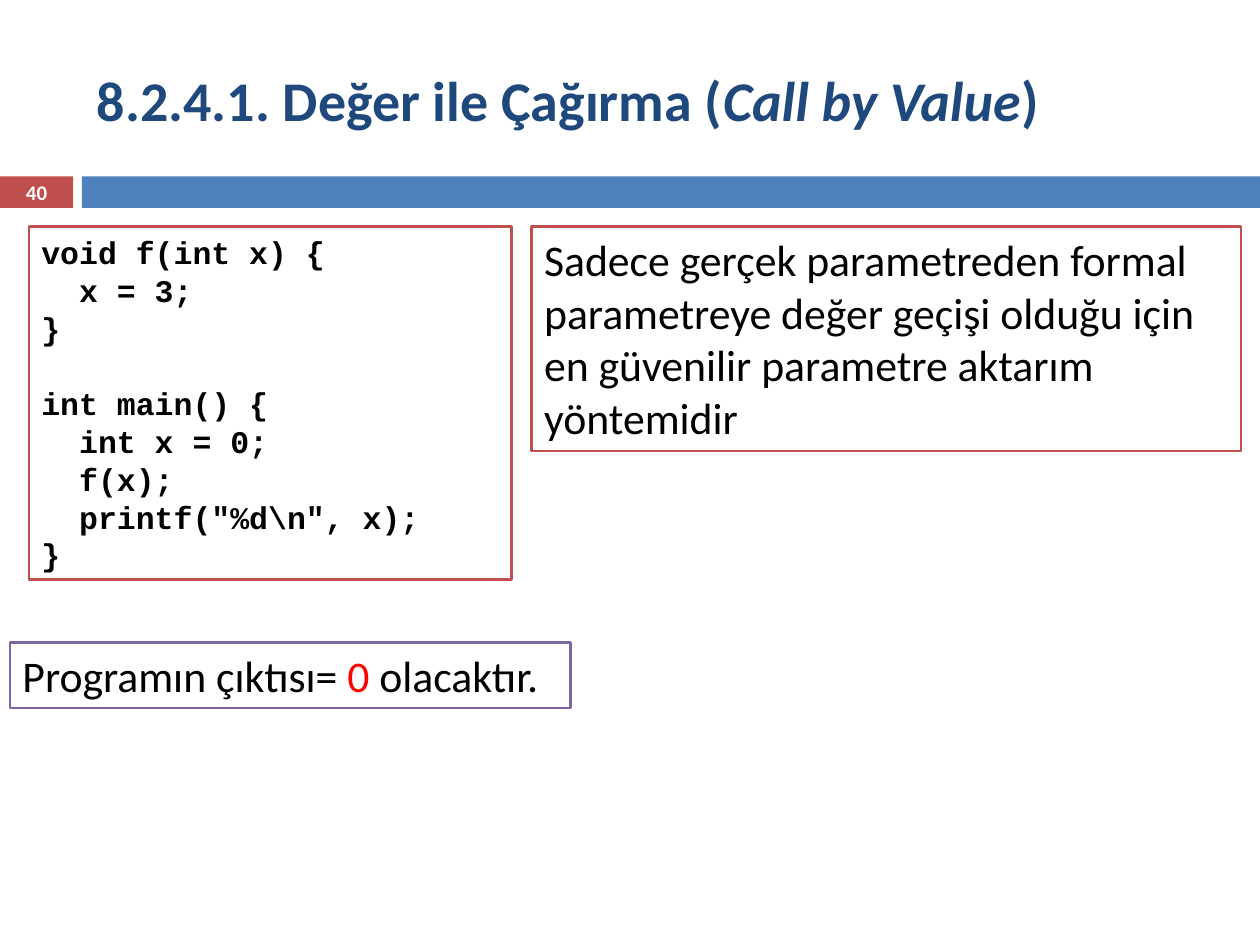
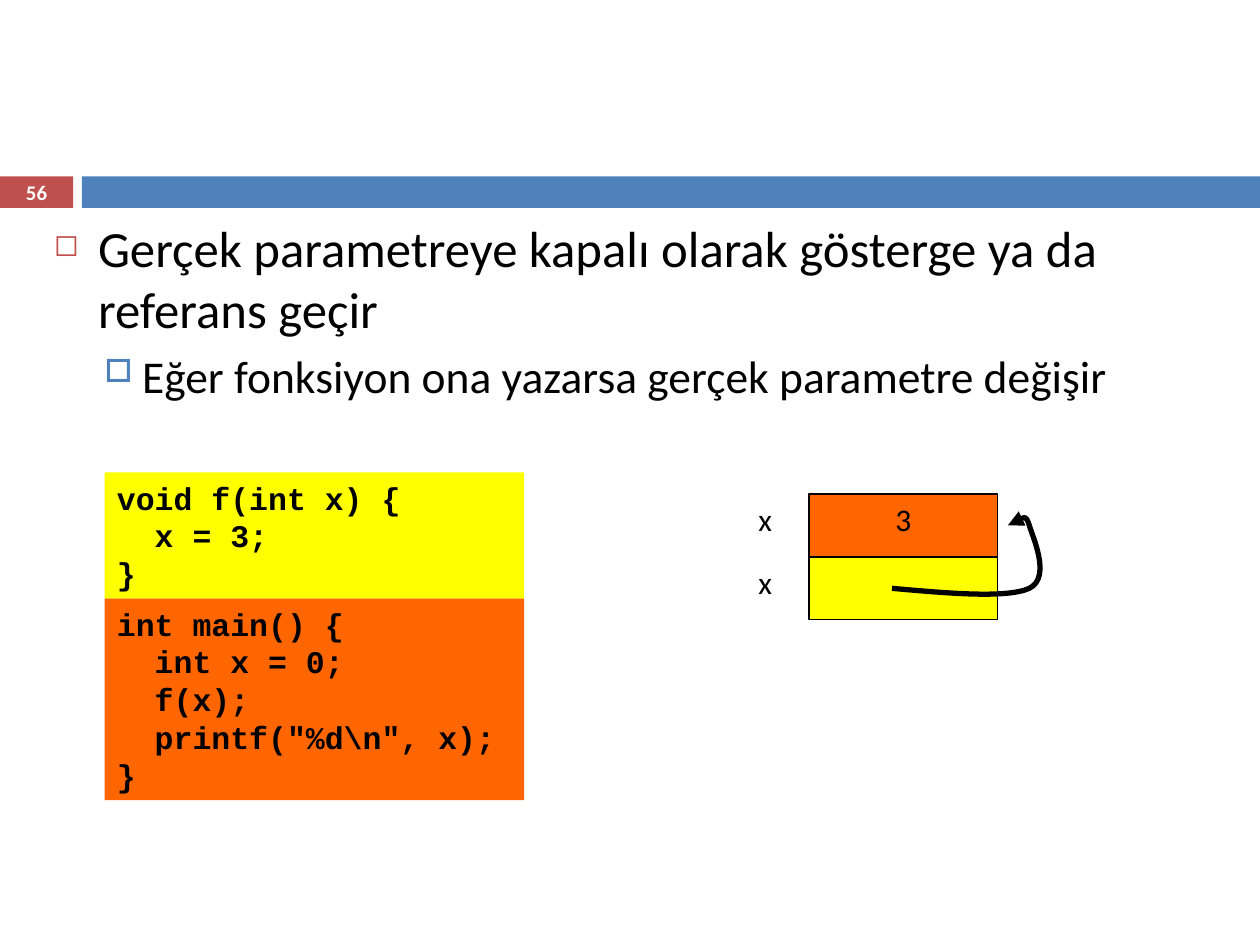
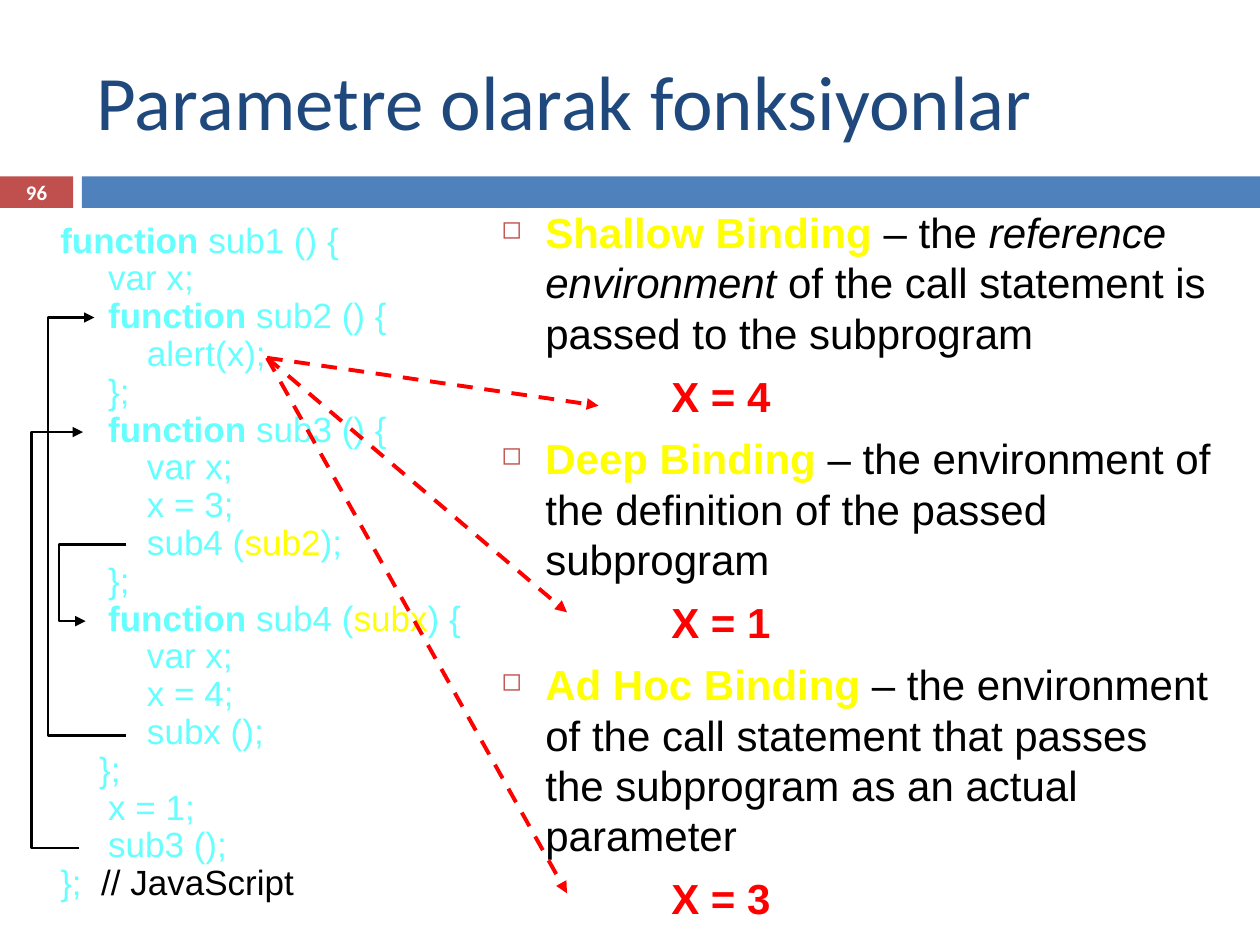
from lxml import etree
from pptx import Presentation
from pptx.dml.color import RGBColor as Rgb
from pptx.enum.dml import MSO_LINE as Dash
from pptx.enum.shapes import MSO_CONNECTOR as Link, MSO_SHAPE as Shape
from pptx.enum.text import MSO_ANCHOR as Anchor, PP_ALIGN as Align
from pptx.oxml.ns import qn
from pptx.util import Inches, Pt

COLORS = {
    "black": "000000", "white": "FFFFFF", "navy": "1F497D", "blue": "4F81BD",
    "brick": "C0504D", "purple": "8064A2", "red": "FF0000",
    "yellow": "FFFF00", "orange": "FF6600", "cyan": "66FFFF",
}
SANS, ARIAL, MONO = "Calibri", "Arial", "Courier New"

CALLEE = ["void f(int x) {", "  x = 3;", "}"]
CALLER = ["int main() {", "  int x = 0;", "  f(x);", '  printf("%d\\n", x);', "}"]

# Each line of the script: indent level, then its runs
SCRIPT = [
    (0, [("function", "", "b"), " sub1 () {"]),
    (1, ["var x;"]),
    (1, [("function", "", "b"), " sub2 () {"]),
    (1, ["    alert(x);"]),
    (1, ["};"]),
    (1, [("function", "", "b"), " sub3 () {"]),
    (1, ["    var x;"]),
    (1, ["    x = 3;"]),
    (1, ["    sub4 (", ("sub2", "yellow", ""), ");"]),
    (1, ["};"]),
    (1, [("function", "", "b"), " sub4 (", ("subx", "yellow", ""), ") {"]),
    (1, ["    var x;"]),
    (1, ["    x = 4;"]),
    (1, ["    subx ();"]),
    (0, ["    };"]),
    (1, ["x = 1;"]),
    (1, ["sub3 ();"]),
    (0, ["};", ("  // JavaScript", "black", "")]),
]

BINDINGS = [
    ("Shallow Binding", [" – the ", ("reference environment", "", "i"),
                         " of the call statement is passed to the subprogram"], "X = 4"),
    ("Deep Binding", [" – the environment of the definition of the passed subprogram"],
     "X = 1"),
    ("Ad Hoc Binding", [" – the environment of the call statement that passes "
                        "the subprogram as an actual parameter"], "X = 3"),
]


def rgb(name):
    return Rgb.from_string(COLORS[name])


def add(node, tag, **attrs):
    return etree.SubElement(node, qn(tag), attrs)


def rect(slide, x, y, w, h, fill, line=None, width=1.5):
    box = slide.shapes.add_shape(Shape.RECTANGLE, Inches(x), Inches(y), Inches(w), Inches(h))
    box.shadow.inherit = False
    box.fill.solid()
    box.fill.fore_color.rgb = rgb(fill)
    if line:
        box.line.color.rgb = rgb(line)
        box.line.width = Pt(width)
    else:
        box.line.fill.background()
    frame(box)
    return box


def label(slide, x, y, w, h):
    box = slide.shapes.add_textbox(Inches(x), Inches(y), Inches(w), Inches(h))
    frame(box)
    return box


def frame(box, anchor=Anchor.TOP):
    box.text_frame.word_wrap = True
    box.text_frame.vertical_anchor = anchor


def write(box, runs, size, font=SANS, color="black", bold=False, align=Align.LEFT,
          left=0, hang=0, bullet=None, before=0, pitch=None):
    """Add a paragraph; a run is a string or (text, colour, style letters)."""
    text = box.text_frame
    para = text.paragraphs[0]
    first = not para.runs
    if not first:
        para = text.add_paragraph()
    props = para._p.get_or_add_pPr()
    props.set("marL", str(Inches(left)))
    props.set("indent", str(Inches(-hang)))
    if bullet:
        mark, tint, scale = bullet
        add(add(props, "a:buClr"), "a:srgbClr", val=COLORS[tint])
        add(props, "a:buSzPct", val=str(scale * 1000))
        add(props, "a:buChar", char=mark)
    para.alignment = align
    if before and not first:
        para.space_before = Pt(before)
    if pitch:
        para.line_spacing = pitch
    para.font.name, para.font.size, para.font.bold = font, Pt(size), bold
    para.font.color.rgb = rgb(color)
    for part in runs:
        words, tint, style = (part, "", "") if isinstance(part, str) else part
        run = para.add_run()
        run.text = words
        if tint:
            run.font.color.rgb = rgb(tint)
        if "b" in style:
            run.font.bold = True
        if "i" in style:
            run.font.italic = True


def code(box, *blocks):
    """Write blocks of code with one line's gap between them."""
    for block in blocks:
        for row, line in enumerate(block):
            write(box, [line], 18, MONO, bold=True, before=0 if row else 21.6)


def base(deck, number, title=None, size=44, bold=False):
    """Add a slide with its band, number and title."""
    slide = deck.slides.add_slide(deck.slide_layouts[6])
    rect(slide, 0, 1.4, 0.58, 0.25, "brick")
    rect(slide, 0.65, 1.4, 9.35, 0.25, "blue")
    if title:
        head = label(slide, 0.67, 0.25, 8.92, 1.08)
        frame(head, Anchor.MIDDLE)
        write(head, title, size, color="navy", bold=bold)
    page = label(slide, 0, 1.39, 0.58, 0.27)
    frame(page, Anchor.MIDDLE)
    write(page, [str(number)], 11.9, color="white", bold=True, align=Align.CENTER)
    return slide


def arrow(slide, start, end, color, width, bend=None):
    """Draw an arrow: dashed and straight, or solid and bent at x = bend."""
    kind = Link.STRAIGHT if bend is None else Link.ELBOW
    line = slide.shapes.add_connector(kind, *map(Inches, start + end))
    line.line.color.rgb = rgb(color)
    line.line.width = Pt(width)
    props = line._element.spPr
    if bend is None:
        line.line.dash_style = Dash.DASH
    else:
        ratio = (bend - start[0]) / (end[0] - start[0])
        add(props.find(".//" + qn("a:avLst")), "a:gd", name="adj1",
            fmla=f"val {round(ratio * 100000)}")
    add(line.line._get_or_add_ln(), "a:tailEnd", type="triangle")
    add(props, "a:effectLst")


def curve(slide, start, points):
    """Draw an arrow along Bezier curves, three points to each."""
    pen = slide.shapes.build_freeform(*map(Inches, start))
    pen.add_line_segments([tuple(map(Inches, spot)) for spot in points], close=False)
    shape = pen.convert_to_shape()
    shape.shadow.inherit = False
    shape.fill.background()
    shape.line.color.rgb = rgb("black")
    shape.line.width = Pt(3)
    add(shape.line._get_or_add_ln(), "a:tailEnd", type="triangle")
    steps = shape._element.findall(".//" + qn("a:lnTo"))
    track = steps[0].getparent()
    for index, step in enumerate(steps):
        if index % 3 == 0:
            bend = add(track, "a:cubicBezTo")
        bend.append(step[0])
        track.remove(step)


def value(deck):
    slide = base(deck, 40, ["8.2.4.1. Değer ile Çağırma (", ("Call by Value", "", "i"), ")"],
                 32, True)
    result = rect(slide, 0.08, 5.1, 4.45, 0.52, "white", "purple")
    write(result, ["Programın çıktısı= ", ("0 ", "red", ""), "olacaktır."], 25)
    note = rect(slide, 4.22, 1.8, 5.63, 1.78, "white", "brick")
    write(note, ["Sadece gerçek parametreden formal parametreye değer geçişi olduğu "
                 "için en güvenilir parametre aktarım yöntemidir"], 25)
    code(rect(slide, 0.23, 1.8, 3.83, 2.8, "white", "brick"), CALLEE, CALLER)


def refer(deck):
    slide = base(deck, 56)
    body = label(slide, 0.33, 1.67, 9.5, 5.34)
    write(body, ["Gerçek parametreye kapalı olarak gösterge ya da referans geçir"], 29,
          left=0.35, hang=0.35, bullet=("◻", "brick", 60))
    write(body, ["Eğer fonksiyon ona yazarsa gerçek parametre değişir"], 26,
          left=0.7, hang=0.3, bullet=("□", "blue", 70), before=5.5)
    code(rect(slide, 0.83, 4.75, 3.33, 1.6, "orange"), CALLER)
    code(rect(slide, 0.83, 3.75, 3.33, 1, "yellow"), CALLEE)
    for row, (fill, held) in enumerate([("orange", "3"), ("yellow", "")]):
        top = 3.92 + row * 0.5
        write(label(slide, 5.92, top, 0.36, 0.5), ["x"], 18)
        cell = rect(slide, 6.42, top, 1.5, 0.5, fill, "black", 0.75)
        if held:
            write(cell, [held], 18, align=Align.CENTER)
    curve(slide, (7.08, 4.67), [
        (7.53, 4.71), (7.99, 4.75), (8.17, 4.67),
        (8.35, 4.58), (8.19, 4.25), (8.17, 4.17),
        (8.14, 4.08), (8.07, 4.12), (8, 4.17)])


def binding(deck):
    slide = base(deck, 96, ["Parametre olarak fonksiyonlar"])
    terms = label(slide, 3.88, 1.59, 5.88, 5.91)
    for name, gloss, answer in BINDINGS:
        write(terms, [(name, "yellow", "b")] + gloss, 24, ARIAL, left=0.35, hang=0.35,
              bullet=("◻", "brick", 60), before=7)
        write(terms, [answer], 24, ARIAL, "red", True, left=1.35, before=7)
    script = label(slide, 0.38, 1.72, 4.38, 5.62)
    for level, runs in SCRIPT:
        write(script, runs, 20, ARIAL, "cyan", left=0.38, hang=0 if level else 0.38,
              pitch=0.9)
    for end in [(4.75, 3.22), (4.5, 4.86), (4.5, 7.09)]:
        arrow(slide, (2.12, 2.84), end, "red", 2.25)
    for start, end, bend in [((0.63, 6.73), (0.66, 3.43), 0.25),
                             ((1, 4.32), (0.68, 4.93), 0.47),
                             ((1, 5.84), (0.75, 2.52), 0.38)]:
        arrow(slide, start, end, "black", 1.5, bend)


def main():
    deck = Presentation()
    deck.slide_width, deck.slide_height = Inches(10), Inches(7.5)
    value(deck)
    refer(deck)
    binding(deck)
    deck.save("out.pptx")


if __name__ == "__main__":
    main()
